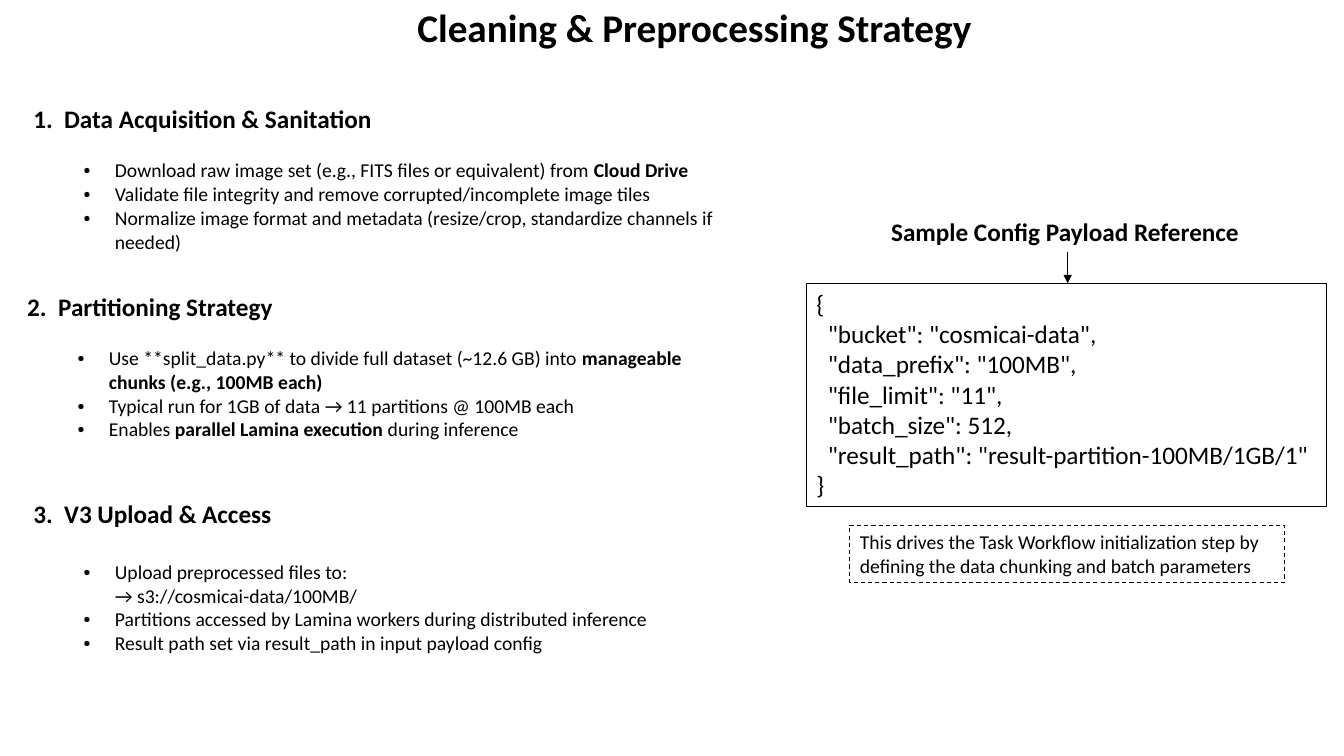
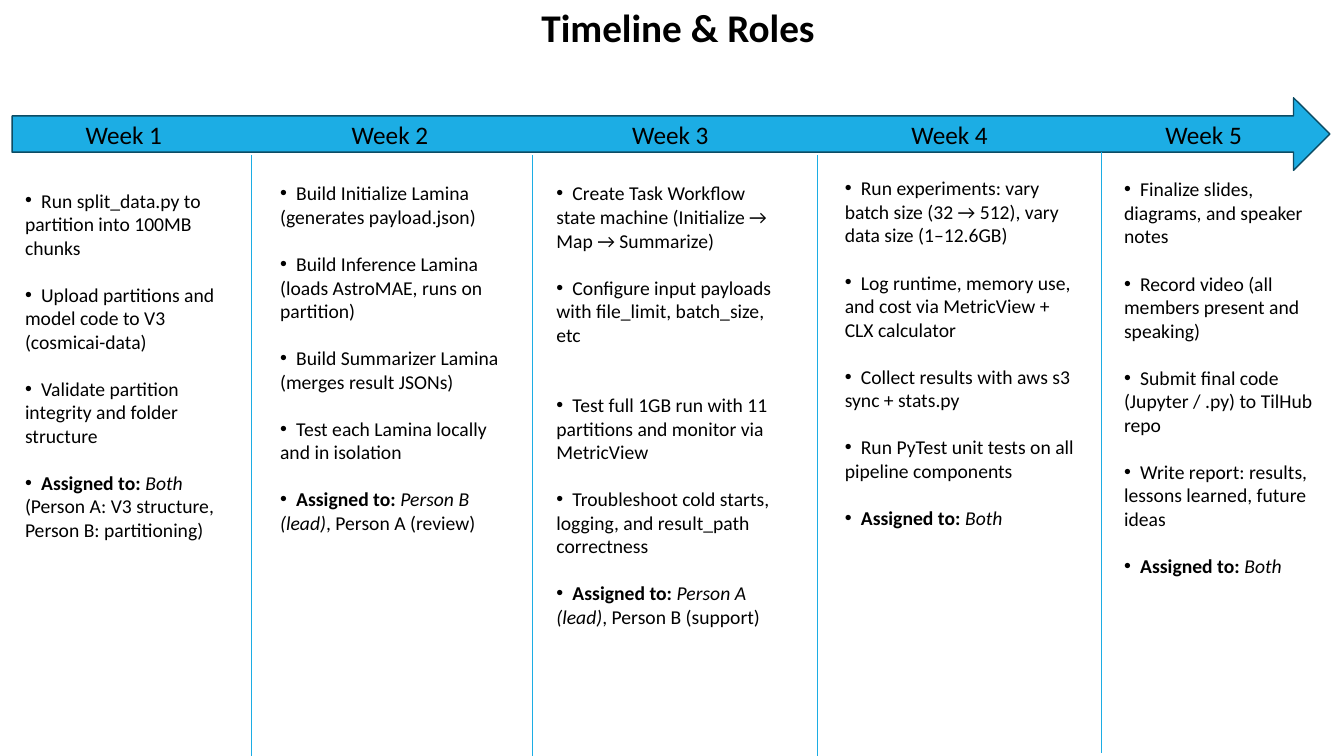
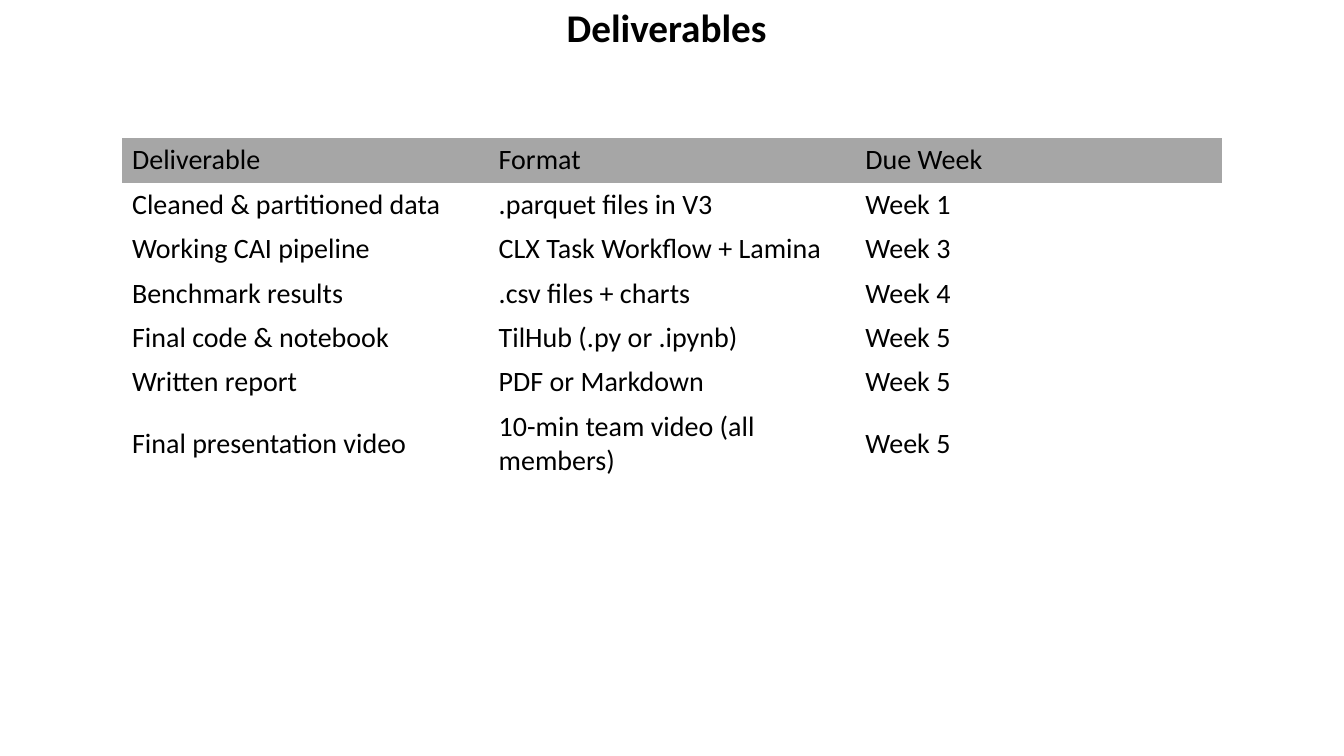
from lxml.etree import SubElement
from pptx import Presentation
from pptx.dml.color import RGBColor
from pptx.enum.dml import MSO_LINE_DASH_STYLE as Dash
from pptx.enum.shapes import MSO_CONNECTOR as Connector, MSO_SHAPE as Shape
from pptx.enum.text import MSO_ANCHOR as Anchor, PP_ALIGN as Align
from pptx.oxml.ns import qn
from pptx.util import Inches, Pt

FONT = "Calibri"
COLORS = {"text": "000000", "accent": "1CADE4", "accent_dark": "0C4C64", "header": "A6A6A6"}
BLANK = 6
PLAIN_TABLE = "{2D5ABB26-0587-4C30-8999-92F81FD0307C}"
LINE_GAP = 16.8

SECTIONS = [
    ((0.23, 0.99, 6.99, 1.87), LINE_GAP, "1.  Data Acquisition & Sanitation", [
        ["Download raw image set (e.g., FITS files or equivalent) from ", ("Cloud Drive", "b")],
        ["Validate file integrity and remove corrupted/incomplete image tiles"],
        ["Normalize image format and metadata (resize/crop, standardize channels if needed)"],
    ]),
    ((0.17, 2.85, 6.99, 1.87), LINE_GAP, "2.  Partitioning Strategy", [
        ["Use **split_data.py** to divide full dataset (~12.6 GB) into ",
         ("manageable chunks (e.g., 100MB each)", "b")],
        ["Typical run for 1GB of data → 11 partitions @ 100MB each"],
        ["Enables ", ("parallel Lamina execution", "b"), " during inference"],
    ]),
    ((0.23, 4.9, 6.72, 1.93), 22, "3.  V3 Upload & Access", [
        ["Upload preprocessed files to:", "\n", "→ s3://cosmicai-data/100MB/"],
        ["Partitions accessed by Lamina workers during distributed inference"],
        ["Result path set via result_path in input payload config"],
    ]),
]

PAYLOAD = """{
  "bucket": "cosmicai-data",
  "data_prefix": "100MB",
  "file_limit": "11",
  "batch_size": 512,
  "result_path": "result-partition-100MB/1GB/1"
}"""

WEEKS = [
    (0.75, (0.15, 1.82, 2.27, 3.95), [
        "Run split_data.py to partition into 100MB chunks",
        "Upload partitions and model code to V3 (cosmicai-data)",
        "Validate partition integrity and folder structure",
    ], "Both", " (Person A: V3 structure, Person B: partitioning)"),
    (3.39, (2.68, 1.75, 2.53, 3.64), [
        "Build Initialize Lamina (generates payload.json)",
        "Build Inference Lamina (loads AstroMAE, runs on partition)",
        "Build Summarizer Lamina (merges result JSONs)",
        "Test each Lamina locally and in isolation",
    ], "Person B (lead)", ", Person A (review)"),
    (6.17, (5.42, 1.75, 2.47, 4.88), [
        "Create Task Workflow state machine (Initialize → Map → Summarize)",
        "Configure input payloads with file_limit, batch_size, etc",
        "Test full 1GB run with 11 partitions and monitor via MetricView",
        "Troubleshoot cold starts, logging, and result_path correctness",
    ], "Person A (lead)", ", Person B (support)"),
    (8.94, (8.28, 1.7, 2.51, 3.94), [
        "Run experiments: vary batch size (32 → 512), vary data size (1–12.6GB)",
        "Log runtime, memory use, and cost via MetricView + CLX calculator",
        "Collect results with aws s3 sync + stats.py",
        "Run PyTest unit tests on all pipeline components",
    ], "Both", ""),
    (11.46, (11.05, 1.71, 2.08, 4.41), [
        "Finalize slides, diagrams, and speaker notes",
        "Record video (all members present and speaking)",
        "Submit final code (Jupyter / .py) to TilHub repo",
        "Write report: results, lessons learned, future ideas",
    ], "Both", ""),
]
DOUBLE_GAP_ITEMS = {(3, 2)}
DIVIDERS = [(2.49, 1.54), (5.28, 1.54), (8.11, 1.54), (10.92, 1.51)]

DELIVERABLES = [
    ("Deliverable", "Format", "Due Week"),
    ("Cleaned & partitioned data", ".parquet files in V3", "Week 1"),
    ("Working CAI pipeline", "CLX Task Workflow + Lamina", "Week 3"),
    ("Benchmark results", ".csv files + charts", "Week 4"),
    ("Final code & notebook", "TilHub (.py or .ipynb)", "Week 5"),
    ("Written report", "PDF or Markdown", "Week 5"),
    ("Final presentation video", "10-min team video (all members)", "Week 5"),
]


def rgb(name):
    return RGBColor.from_string(COLORS[name])


def style_font(font, size, bold=False, italic=False):
    font.name, font.size = FONT, Pt(size)
    font.bold, font.italic = bold, italic
    font.color.rgb = rgb("text")


def write(paragraph, pieces, size, space_before=0):
    paragraph.alignment = Align.LEFT
    paragraph.space_before = Pt(space_before)
    for piece in pieces:
        if piece == "\n":
            paragraph.add_line_break()
            SubElement(paragraph._p[-1], qn("a:rPr"), sz=str(size * 100))
            continue
        text, style = (piece, "") if isinstance(piece, str) else piece
        run = paragraph.add_run()
        run.text = text
        style_font(run.font, size, "b" in style, "i" in style)


def set_bullet(paragraph, margin=0.0, indent=0.0, tab=None):
    properties = paragraph._p.get_or_add_pPr()
    properties.set("marL", str(Inches(margin)))
    properties.set("indent", str(Inches(indent)))
    SubElement(properties, qn("a:buFont"), typeface="Arial")
    SubElement(properties, qn("a:buChar"), char="•")
    if tab:
        stops = SubElement(properties, qn("a:tabLst"))
        SubElement(stops, qn("a:tab"), pos=str(Inches(tab)), algn="l")


def next_paragraph(frame, index):
    return frame.add_paragraph() if index else frame.paragraphs[0]


def add_plain_table(slide, box, row_heights, columns):
    holder = slide.shapes.add_table(len(row_heights), columns, *map(Inches, box))
    table = holder.table
    table.first_row = table.horz_banding = False
    table._tbl.tblPr.find(qn("a:tableStyleId")).text = PLAIN_TABLE
    for row, height in zip(table.rows, row_heights):
        row.height = Inches(height)
        for cell in row.cells:
            cell.vertical_anchor = Anchor.MIDDLE
            cell.fill.background()
    holder.height = Inches(box[3])
    return table


def add_framed_cell(slide, box):
    return add_plain_table(slide, box, [0], 1).cell(0, 0).text_frame


def add_titled_slide(deck, title, left, width):
    slide = deck.slides.add_slide(deck.slide_layouts[BLANK])
    frame = add_framed_cell(slide, (left, 0, width, 0.57))
    write(frame.paragraphs[0], [(title, "b")], 28)
    return slide


def add_section(slide, box, gap, heading, items):
    frame = add_framed_cell(slide, box)
    write(frame.paragraphs[0], [(heading, "b")], 18)
    for index, pieces in enumerate(items):
        paragraph = frame.add_paragraph()
        paragraph.level = 1
        write(paragraph, pieces, 14, 0 if index else gap)
        set_bullet(paragraph, 0.81, -0.31)


def add_label(slide, box, text, style=""):
    label = slide.shapes.add_textbox(*map(Inches, box))
    label.text_frame.word_wrap = False
    write(label.text_frame.paragraphs[0], [(text, style)], 18)


def add_outlined_box(slide, box, lines, size, dash=None):
    outlined = slide.shapes.add_shape(Shape.RECTANGLE, *map(Inches, box))
    outlined.shadow.inherit = False
    outlined.fill.background()
    outlined.line.color.rgb = rgb("text")
    outlined.line.width = Pt(0.75)
    if dash:
        outlined.line.dash_style = dash
    frame = outlined.text_frame
    frame.word_wrap, frame.vertical_anchor = True, Anchor.TOP
    for index, line in enumerate(lines):
        write(next_paragraph(frame, index), [line], size)


def add_vertical_line(slide, x, top, bottom, color, arrow=False):
    line = slide.shapes.add_connector(
        Connector.STRAIGHT, Inches(x), Inches(top), Inches(x), Inches(bottom))
    line.line.color.rgb = rgb(color)
    line.line.width = Pt(0.5)
    if arrow:
        SubElement(line.line._get_or_add_ln(), qn("a:tailEnd"), type="triangle")
    SubElement(line._element.spPr, qn("a:effectLst"))


def add_week(slide, number, label_left, box, tasks, assignee, detail):
    add_label(slide, (label_left, 1.13, 1.01, 0.4), f"Week {number}")
    frame = slide.shapes.add_textbox(*map(Inches, box)).text_frame
    frame.word_wrap = True
    assignment = [("\tAssigned to: ", "b"), (assignee, "i")] + ([detail] if detail else [])
    items = [["\t" + task] for task in tasks] + [assignment]
    for index, pieces in enumerate(items):
        gap = LINE_GAP * (2 if (number, index) in DOUBLE_GAP_ITEMS else 1)
        paragraph = next_paragraph(frame, index)
        write(paragraph, pieces, 14, gap if index else 0)
        set_bullet(paragraph, tab=0.16)


def build_strategy(deck):
    slide = add_titled_slide(deck, "Cleaning & Preprocessing Strategy", 4.04, 6.49)
    for section in SECTIONS:
        add_section(slide, *section)
    add_outlined_box(slide, (8, 2.81, 5.16, 2.22), PAYLOAD.split("\n"), 18)
    add_label(slide, (8.74, 2.1, 3.7, 0.4), "Sample Config Payload Reference", "b")
    add_vertical_line(slide, 10.59, 2.5, 2.81, "text", arrow=True)
    add_outlined_box(slide, (8.43, 5.21, 4.31, 0.57), [
        "This drives the Task Workflow initialization step by "
        "defining the data chunking and batch parameters"], 14, Dash.DASH)


def build_timeline(deck):
    slide = add_titled_slide(deck, "Timeline & Roles", 5.27, 3.51)
    band = slide.shapes.add_shape(
        Shape.RIGHT_ARROW, *map(Inches, (0.12, 0.97, 13.07, 0.72)))
    band.shadow.inherit = False
    band.fill.solid()
    band.fill.fore_color.rgb = rgb("accent")
    band.line.color.rgb = rgb("accent_dark")
    band.line.width = Pt(1)
    for number, week in enumerate(WEEKS, 1):
        add_week(slide, number, *week)
    for x, top in DIVIDERS:
        add_vertical_line(slide, x, top, top + 5.96, "accent")


def build_deliverables(deck):
    slide = add_titled_slide(deck, "Deliverables", 5.52, 2.3)
    row_heights = [0.44] * (len(DELIVERABLES) - 1) + [0.73]
    table = add_plain_table(slide, (1.21, 1.37, 10.91, 3.37), row_heights, 3)
    for row, texts in zip(table.rows, DELIVERABLES):
        for cell, text in zip(row.cells, texts):
            write(cell.text_frame.paragraphs[0], [text], 20)
    for cell in table.rows[0].cells:
        cell.fill.solid()
        cell.fill.fore_color.rgb = rgb("header")


def main():
    deck = Presentation()
    deck.slide_width, deck.slide_height = Inches(13.33), Inches(7.5)
    build_strategy(deck)
    build_timeline(deck)
    build_deliverables(deck)
    deck.save("out.pptx")


if __name__ == "__main__":
    main()
